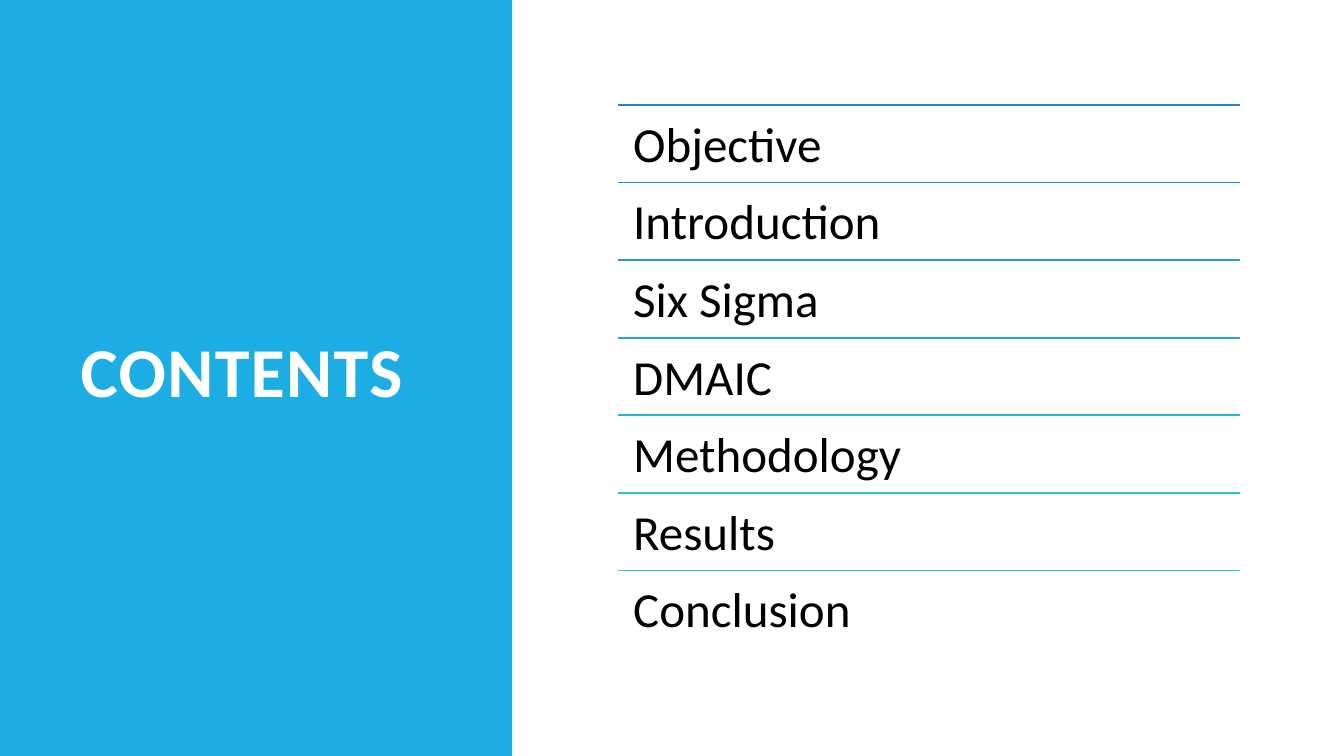
from pptx import Presentation
from pptx.dml.color import RGBColor
from pptx.enum.shapes import MSO_CONNECTOR, MSO_SHAPE
from pptx.enum.text import MSO_ANCHOR, MSO_AUTO_SIZE, PP_ALIGN
from pptx.oxml.ns import qn
from pptx.util import Inches, Pt
from lxml import etree

STRAIGHT = MSO_CONNECTOR.STRAIGHT
RECTANGLE = MSO_SHAPE.RECTANGLE
TOP, MIDDLE = MSO_ANCHOR.TOP, MSO_ANCHOR.MIDDLE
LEFT = PP_ALIGN.LEFT
NO_FIT = MSO_AUTO_SIZE.NONE

FONT = "Calibri"
WHITE = RGBColor(0xFF, 0xFF, 0xFF)
BLACK = RGBColor(0x00, 0x00, 0x00)
PANEL_BLUE = RGBColor(0x1C, 0xAD, 0xE4)

# Each topic with the colour of the rule above it
TOPICS = [
    ("Objective", RGBColor(0x26, 0x83, 0xC6)),
    ("Introduction", RGBColor(0x26, 0x8F, 0xC9)),
    ("Six Sigma", RGBColor(0x26, 0x9B, 0xCC)),
    ("DMAIC", RGBColor(0x27, 0xA7, 0xCE)),
    ("Methodology", RGBColor(0x27, 0xB4, 0xD1)),
    ("Results", RGBColor(0x27, 0xC1, 0xD4)),
    ("Conclusion", RGBColor(0x27, 0xCE, 0xD7)),
]
LIST_LEFT, LIST_TOP, LIST_WIDTH, ROW_HEIGHT = 6.13, 1.04, 6.17, 0.77


def write_text(box, text, *, size, color, bold=False, anchor=TOP,
               line_spacing=1.0, tracking=0, inset=None):
    """Put one formatted, left-aligned paragraph into a box."""
    frame = box.text_frame
    frame.word_wrap = True
    frame.auto_size = NO_FIT
    frame.vertical_anchor = anchor
    if inset is not None:
        frame.margin_left = frame.margin_right = Inches(inset)
        frame.margin_top = frame.margin_bottom = Inches(inset)
    para = frame.paragraphs[0]
    para.alignment = LEFT
    para.line_spacing = line_spacing
    span = para.add_run()
    span.text = text
    span.font.name = FONT
    span.font.size = Pt(size)
    span.font.bold = bold
    span.font.color.rgb = color
    if tracking:
        span.font._element.set("spc", str(int(tracking * 100)))


def add_panel(page, width, height):
    """Add the coloured side panel behind everything else."""
    panel = page.shapes.add_shape(RECTANGLE, 0, 0, width, height)
    panel.shadow.inherit = False
    panel.fill.solid()
    panel.fill.fore_color.rgb = PANEL_BLUE
    panel.line.fill.background()
    page.shapes._spTree.insert(2, panel._element)


def add_title(page, text):
    title = page.shapes.title
    title.left, title.top = Inches(0.7), Inches(0.7)
    title.width, title.height = Inches(3.74), Inches(6.09)
    write_text(title, text, size=50, color=WHITE, bold=True, anchor=MIDDLE,
               line_spacing=0.8, tracking=1)


def add_rule(group, top, color):
    rule = group.shapes.add_connector(
        STRAIGHT, Inches(LIST_LEFT), Inches(top),
        Inches(LIST_LEFT + LIST_WIDTH), Inches(top))
    rule.line.color.rgb = color
    rule.line.width = Pt(1.25)
    etree.SubElement(rule._element.spPr, qn("a:effectLst"))


def add_topic(group, top, text):
    box = group.shapes.add_textbox(Inches(LIST_LEFT), Inches(top),
                                   Inches(LIST_WIDTH), Inches(ROW_HEIGHT))
    write_text(box, text, size=35, color=BLACK, line_spacing=0.9, inset=0.15)


def main():
    deck = Presentation()
    deck.slide_width, deck.slide_height = Inches(13.33), Inches(7.5)
    page = deck.slides.add_slide(deck.slide_layouts.get_by_name("Title Only"))

    # Side panel with the title
    add_panel(page, Inches(5.08), deck.slide_height)
    add_title(page, "CONTENTS")

    # Ruled list of topics
    group = page.shapes.add_group_shape()
    for row, (topic, color) in enumerate(TOPICS):
        top = LIST_TOP + row * ROW_HEIGHT
        add_rule(group, top, color)
        add_topic(group, top, topic)

    deck.save("out.pptx")


main()
